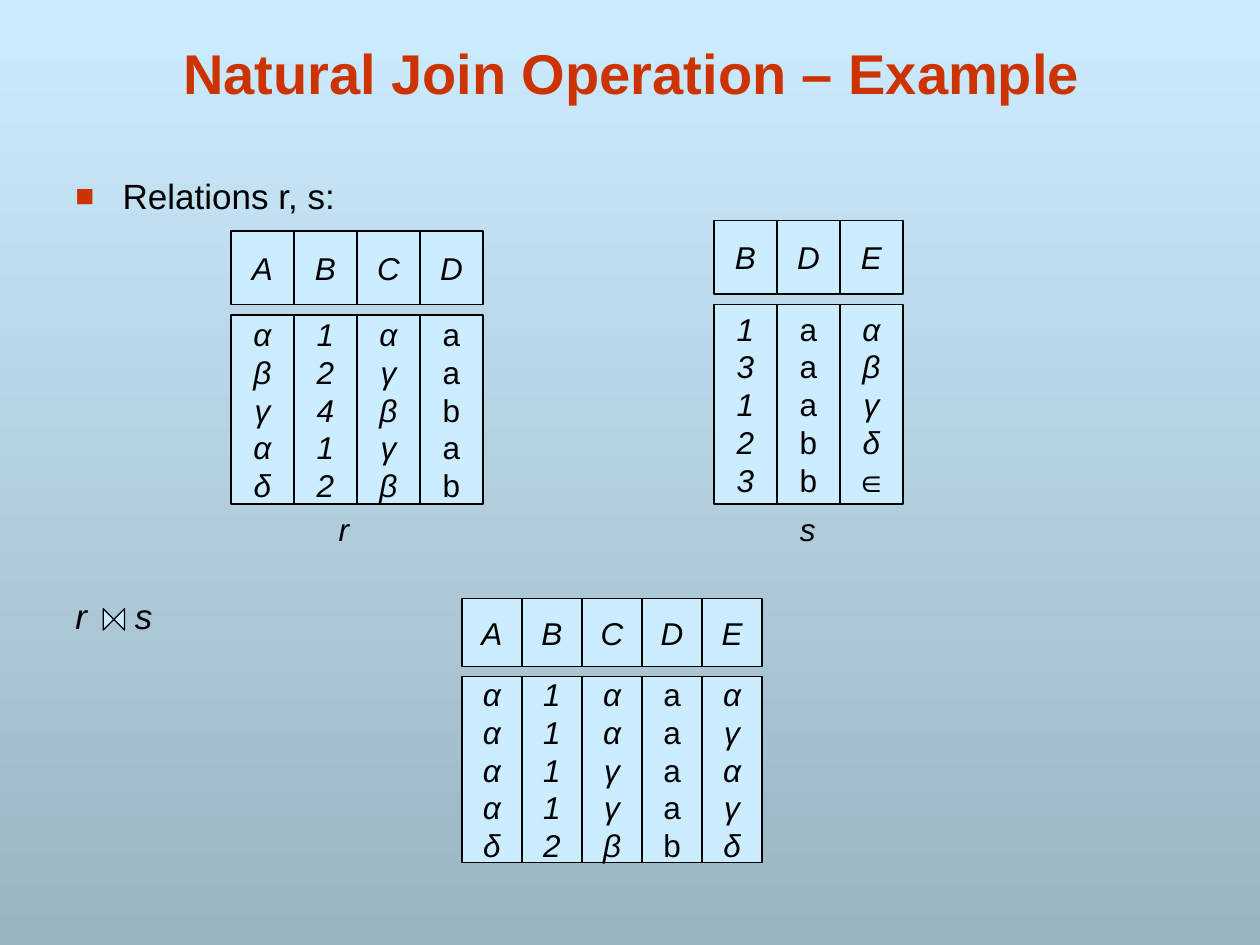
from dataclasses import dataclass

from lxml.etree import SubElement
from pptx import Presentation
from pptx.dml.color import RGBColor
from pptx.enum.shapes import MSO_SHAPE as Shape
from pptx.enum.text import MSO_ANCHOR as Anchor, MSO_AUTO_SIZE as AutoSize, PP_ALIGN as Align
from pptx.oxml.ns import qn
from pptx.util import Pt


@dataclass(frozen=True)
class Theme:
    font: str = "Arial"
    ink: RGBColor = RGBColor(0x00, 0x00, 0x00)
    accent: RGBColor = RGBColor(0xCC, 0x33, 0x00)
    pale: RGBColor = RGBColor(0xCC, 0xEC, 0xFF)
    dusk: RGBColor = RGBColor(0x9B, 0xB4, 0xC2)
    title_size: int = 32
    body_size: int = 20
    cell_size: int = 18
    line_width: float = 0.75


THEME = Theme()

RELATION_R = {"A": "αβγαδ", "B": "12412", "C": "αγβγβ", "D": "aabab"}
RELATION_S = {"B": "13123", "D": "aaabb", "E": "αβγδ∈"}
NATURAL_JOIN = {"A": "ααααδ", "B": "11112", "C": "ααγγβ", "D": "aaaab", "E": "αγαγδ"}


def paint_background(slide):
    fill = slide.background.fill
    fill.gradient()
    fill.gradient_angle = 270
    for stop, position, color in zip(fill.gradient_stops, (0, 1), (THEME.pale, THEME.dusk)):
        stop.position = position
        stop.color.rgb = color


def write(shape, text, size, color=THEME.ink, bold=False, italic=False,
          align=Align.CENTER, anchor=Anchor.MIDDLE, wrap=False, space_before=0):
    frame = shape.text_frame
    frame.text = text
    frame.word_wrap = wrap
    frame.vertical_anchor = anchor
    for paragraph in frame.paragraphs:
        paragraph.alignment = align
        paragraph.space_before = Pt(space_before)
        for run in paragraph.runs:
            font = run.font
            font.name, font.size = THEME.font, Pt(size)
            font.bold, font.italic = bold, italic
            font.color.rgb = color


def add_text(shapes, left, top, width, height, text, size, **style):
    box = shapes.add_textbox(Pt(left), Pt(top), Pt(width), Pt(height))
    write(box, text, size, **style)
    return box


def add_box(shapes, kind, left, top, width, height):
    shape = shapes.add_shape(kind, Pt(left), Pt(top), Pt(width), Pt(height))
    shape.shadow.inherit = False
    shape.fill.solid()
    shape.fill.fore_color.rgb = THEME.pale
    shape.line.color.rgb = THEME.ink
    shape.line.width = Pt(THEME.line_width)
    return shape


def add_relation(slide, columns, left, top, column_width, header_height, gap, body_height):
    body_top = top + header_height + gap
    for index, (name, values) in enumerate(columns.items()):
        x = left + index * column_width
        header = add_box(slide.shapes, Shape.RECTANGLE, x, top, column_width, header_height)
        write(header, name, THEME.cell_size, italic=True)
        body = add_box(slide.shapes, Shape.RECTANGLE, x, body_top, column_width, body_height)
        write(body, "\n".join(values), THEME.cell_size, italic=name != "D")


def add_caption(slide, left, width, text):
    caption = add_text(slide.shapes, left, 288, width, 28.8, text, THEME.cell_size,
                       italic=True, space_before=11.2)
    caption.text_frame.auto_size = AutoSize.SHAPE_TO_FIT_TEXT


def add_hanging_line(shapes, top, text, indent, italic=False):
    box = add_text(shapes, 36, top, 553.7, 32.4, text, THEME.body_size, italic=italic,
                   align=Align.LEFT, anchor=Anchor.TOP, wrap=True, space_before=8.8)
    properties = box.text_frame.paragraphs[0]._p.get_or_add_pPr()
    properties.set("marL", str(Pt(indent)))
    properties.set("indent", str(-Pt(indent)))
    return properties


def add_bullet(properties):
    color = SubElement(properties, qn("a:buClr"))
    SubElement(color, qn("a:srgbClr"), val=str(THEME.accent))
    SubElement(properties, qn("a:buSzPct"), val="90000")
    SubElement(properties, qn("a:buFont"), typeface=THEME.font)
    SubElement(properties, qn("a:buChar"), char="■")


def add_join_expression(slide):
    group = slide.shapes.add_group_shape()
    add_hanging_line(group.shapes, 336, "r\ts", 34, italic=True)
    bowtie = add_box(group.shapes, Shape.FLOWCHART_COLLATE, 59, 347.8, 12.2, 12.2)
    bowtie.rotation = 270


def main():
    presentation = Presentation()
    presentation.slide_width, presentation.slide_height = Pt(720), Pt(540)
    slide = presentation.slides.add_slide(presentation.slide_layouts[6])
    paint_background(slide)

    add_text(slide.shapes, 43, 16, 636, 48, "Natural Join Operation – Example", THEME.title_size,
             color=THEME.accent, bold=True, anchor=Anchor.BOTTOM, wrap=True)
    add_bullet(add_hanging_line(slide.shapes, 96, "Relations r, s:", 27))

    add_relation(slide, RELATION_R, 132, 132, 36, 42, 6, 108)
    add_caption(slide, 186.5, 20, "r")
    add_relation(slide, RELATION_S, 408, 126, 36, 42, 6, 114)
    add_caption(slide, 450, 23, "s")
    add_relation(slide, NATURAL_JOIN, 264, 342, 34.3, 38.9, 5.7, 106.3)
    add_join_expression(slide)

    presentation.save("out.pptx")


if __name__ == "__main__":
    main()
